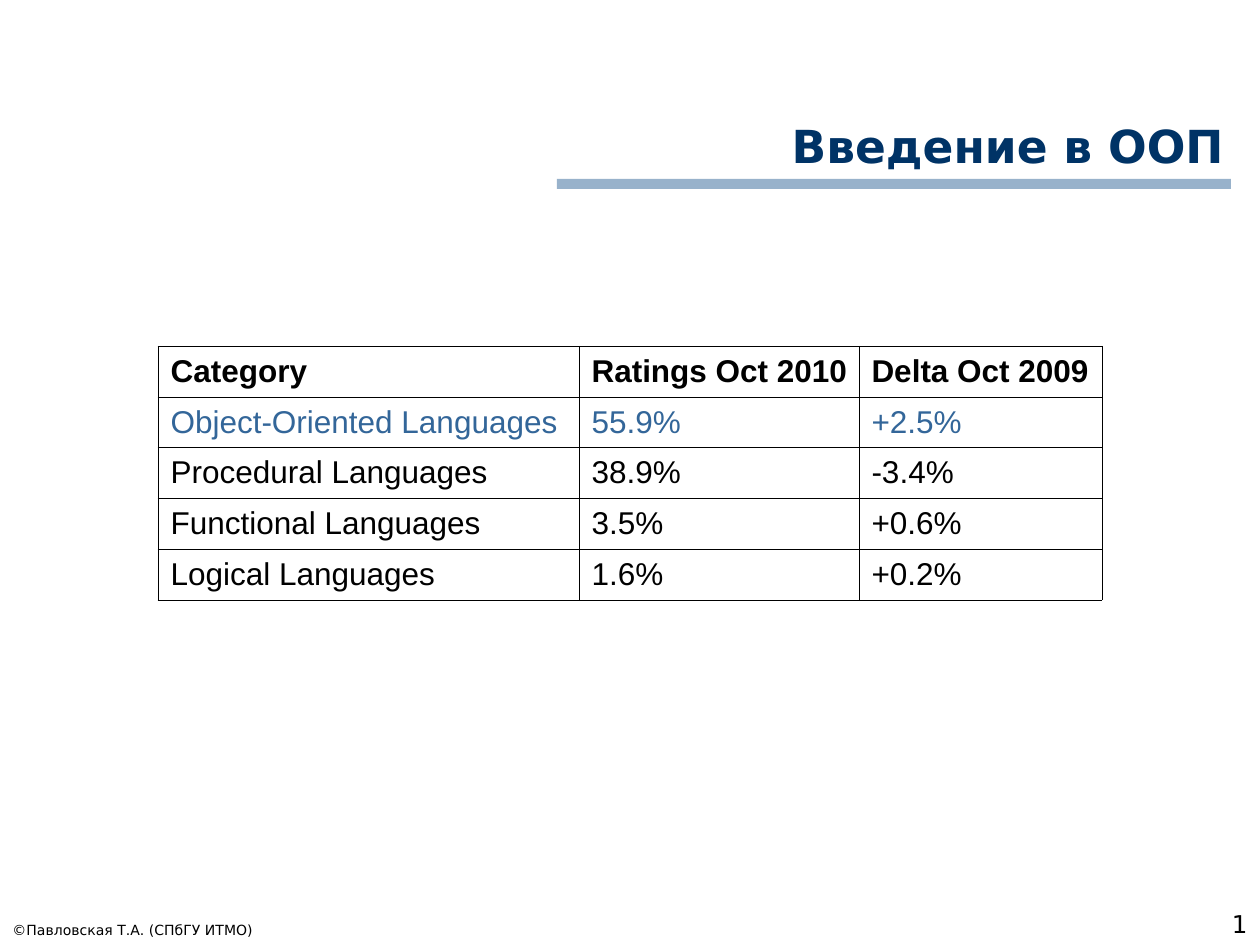
from lxml.etree import SubElement
from pptx import Presentation
from pptx.dml.color import RGBColor
from pptx.enum.shapes import MSO_SHAPE
from pptx.enum.text import MSO_ANCHOR, PP_ALIGN
from pptx.oxml.ns import qn
from pptx.util import Emu, Pt

NAVY, BLUE, BLACK = "003366", "336699", "000000"
TITLE_FONT, TABLE_FONT = "DejaVu Sans", "Arial"

ROWS = [
    ("Category", "Ratings Oct 2010", "Delta Oct 2009"),
    ("Object-Oriented Languages", "55.9%", "+2.5%"),
    ("Procedural Languages", "38.9%", "-3.4%"),
    ("Functional Languages", "3.5%", "+0.6%"),
    ("Logical Languages", "1.6%", "+0.2%"),
]
COLUMN_SHARES = (421, 280, 243)


def px(n):
    return Emu(round(n * 914400 / 126))


def rgb(value):
    return RGBColor.from_string(value)


def write(tf, text, color=BLACK, align=PP_ALIGN.LEFT, **font):
    p = tf.paragraphs[0]
    p.alignment = align
    r = p.add_run()
    r.text = text
    r.font.color.rgb = rgb(color)
    for name, value in font.items():
        setattr(r.font, name, value)


def add_title(s, text, x, y, w, h):
    title = s.shapes.title
    title.left, title.top, title.width, title.height = map(px, (x, y, w, h))
    tf = title.text_frame
    tf.word_wrap = True
    tf.vertical_anchor = MSO_ANCHOR.BOTTOM
    write(tf, text, NAVY, PP_ALIGN.RIGHT, size=Pt(26), name=TITLE_FONT, bold=True)

    # Half-transparent rule under the title
    bar_w, bar_h = 674, 10
    sp = s.shapes.add_shape(MSO_SHAPE.RECTANGLE, px(x + w - bar_w - 6), px(y + h),
                            px(bar_w), px(bar_h))
    sp.shadow.inherit = False
    sp.line.fill.background()
    sp.fill.solid()
    sp.fill.fore_color.rgb = rgb(BLUE)
    color = sp.fill._xPr.find(qn("a:solidFill"))[0]
    SubElement(color, qn("a:alpha"), val="50000")


def add_label(s, text, x, y, w, h, size, align):
    tf = s.shapes.add_textbox(*map(px, (x, y, w, h))).text_frame
    tf.word_wrap = True
    tf.vertical_anchor = MSO_ANCHOR.BOTTOM
    write(tf, text, align=align, size=Pt(size), name=TITLE_FONT)


def add_footer(s, x, y, w, h):
    number_w, credit_w, credit_h = 262, 392, 35
    add_label(s, "©Павловская Т.А. (СПбГУ ИТМО)", x, y + h - credit_h,
              credit_w, credit_h, 8, PP_ALIGN.LEFT)
    add_label(s, "1", x + w - number_w, y, number_w, h, 14, PP_ALIGN.RIGHT)


def border(cell):
    tcPr = cell._tc.get_or_add_tcPr()
    for position, side in enumerate(("lnL", "lnR", "lnT", "lnB")):
        ln = SubElement(tcPr, qn(f"a:{side}"), w=str(Pt(0.34)))
        fill = SubElement(ln, qn("a:solidFill"))
        SubElement(fill, qn("a:srgbClr"), val=BLACK)
        tcPr.insert(position, ln)  # borders come before the fill


def add_ratings(s, x, y, w, h):
    table = s.shapes.add_table(len(ROWS), len(COLUMN_SHARES),
                               *map(px, (x, y, w, h))).table
    table.horz_banding = False
    for column, share in zip(table.columns, COLUMN_SHARES):
        column.width = px(w * share / sum(COLUMN_SHARES))
    for i, row in enumerate(ROWS):
        table.rows[i].height = px(h / len(ROWS))
        for j, text in enumerate(row):
            cell = table.cell(i, j)
            cell.vertical_anchor = MSO_ANCHOR.MIDDLE
            cell.margin_right = px(8)  # keeps each heading on one line
            cell.fill.background()
            border(cell)
            # Bold header, object-oriented row highlighted
            write(cell.text_frame, text, BLUE if i == 1 else BLACK,
                  size=Pt(18), name=TABLE_FONT, bold=i == 0)


def main():
    prs = Presentation()
    prs.slide_width, prs.slide_height = px(1260), px(945)
    s = prs.slides.add_slide(prs.slide_layouts[5])
    add_title(s, "Введение в ООП", 0, 57, 1237, 122)
    add_footer(s, 0, 882, 1260, 63)
    add_ratings(s, 158, 346, 944, 254)
    prs.save("out.pptx")


if __name__ == "__main__":
    main()
